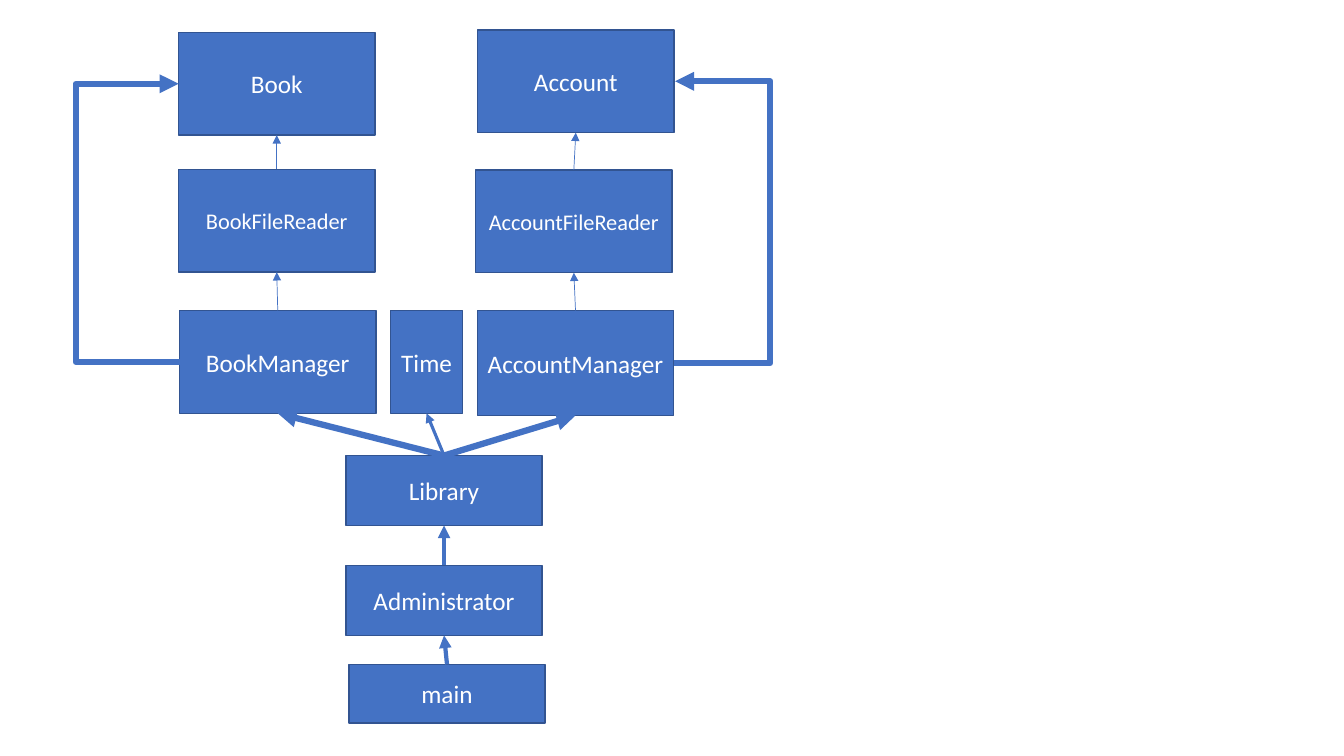
from lxml import etree
from pptx import Presentation
from pptx.dml.color import RGBColor
from pptx.enum.shapes import MSO_CONNECTOR, MSO_SHAPE
from pptx.enum.text import MSO_ANCHOR, PP_ALIGN
from pptx.oxml.ns import qn
from pptx.util import Pt

RECTANGLE = MSO_SHAPE.RECTANGLE
STRAIGHT, ELBOW = MSO_CONNECTOR.STRAIGHT, MSO_CONNECTOR.ELBOW
MIDDLE, CENTER = MSO_ANCHOR.MIDDLE, PP_ALIGN.CENTER
BLUE = RGBColor(0x44, 0x72, 0xC4)
DARK_BLUE = RGBColor(0x32, 0x54, 0x91)
WHITE = RGBColor(0xFF, 0xFF, 0xFF)
FONT = "Calibri"
TOP, BOTTOM = 0, 2  # connection sites of a rectangle
CLASS_WIDTH = 140.2

# Class name: left, top, width, height, text size
CLASSES = {
    "Book": (127.6, 23.2, CLASS_WIDTH, 73.4, 18),
    "Account": (341.2, 21.4, CLASS_WIDTH, 73.4, 18),
    "BookManager": (128.3, 221.8, CLASS_WIDTH, 73.4, 18),
    "BookFileReader": (127.6, 121, CLASS_WIDTH, 73.4, 16),
    "AccountManager": (341, 221.8, CLASS_WIDTH, 75, 18),
    "AccountFileReader": (339.8, 121.4, CLASS_WIDTH, 73.4, 16),
    "Library": (247.1, 325.4, CLASS_WIDTH, 50, 18),
    "Administrator": (247.1, 403.9, CLASS_WIDTH, 50, 18),
    "Time": (278.8, 221.8, 51.8, 73.4, 18),
    "main": (249.2, 474.6, CLASS_WIDTH, 42, 18),
}

# User, used class, line width
USES = [
    ("main", "Administrator", 3),
    ("Administrator", "Library", 3),
    ("Library", "BookManager", 4.5),
    ("Library", "AccountManager", 4.5),
    ("Library", "Time", 2.25),
    ("BookManager", "BookFileReader", 0.5),
    ("AccountManager", "AccountFileReader", 0.5),
    ("BookFileReader", "Book", 0.5),
    ("AccountFileReader", "Account", 0.5),
]

# Start x, start y, end x, end y, x of the outer run
DETOURS = [
    (128.3, 258.5, 127.6, 59.9, 55),
    (481.2, 259.3, 482.2, 58.1, 550.7),
]

deck = Presentation()
deck.slide_width, deck.slide_height = Pt(960), Pt(540)
slide = deck.slides.add_slide(deck.slide_layouts[6])


def write(shape, text, size=18, color=WHITE, align=CENTER):
    frame = shape.text_frame
    frame.word_wrap = True
    frame.vertical_anchor = MIDDLE
    paragraph = frame.paragraphs[0]
    paragraph.alignment = align
    run = paragraph.add_run()
    run.text = text
    run.font.name, run.font.size = FONT, Pt(size)
    run.font.color.rgb = color


def add_class(name, left, top, width, height, size):
    box = slide.shapes.add_shape(RECTANGLE, Pt(left), Pt(top), Pt(width), Pt(height))
    box.shadow.inherit = False
    box.fill.solid()
    box.fill.fore_color.rgb = BLUE
    box.line.color.rgb = DARK_BLUE
    box.line.width = Pt(1)
    write(box, name, size=size)
    return box


def add_arrow(kind, weight, ends=(0, 0, 0, 0)):
    arrow = slide.shapes.add_connector(kind, *map(Pt, ends))
    arrow.line.color.rgb = BLUE
    arrow.line.width = Pt(weight)
    etree.SubElement(arrow.line._get_or_add_ln(), qn("a:tailEnd"), type="triangle")
    etree.SubElement(arrow._element.spPr, qn("a:effectLst"))
    return arrow


# Classes
boxes = {name: add_class(name, *layout) for name, layout in CLASSES.items()}

# Arrows that run around the file readers
for x1, y1, x2, y2, outer_x in DETOURS:
    detour = add_arrow(ELBOW, 4.5, (x1, y1, x2, y2))
    bend = round((outer_x - x1) / (x2 - x1) * 100000)
    adjustments = next(detour._element.iter(qn("a:avLst")))
    etree.SubElement(adjustments, qn("a:gd"), name="adj1", fmla=f"val {bend}")

# Arrows from each class up to the one it uses
for user, used, weight in USES:
    arrow = add_arrow(STRAIGHT, weight)
    arrow.begin_connect(boxes[user], TOP)
    arrow.end_connect(boxes[used], BOTTOM)

deck.save("out.pptx")
